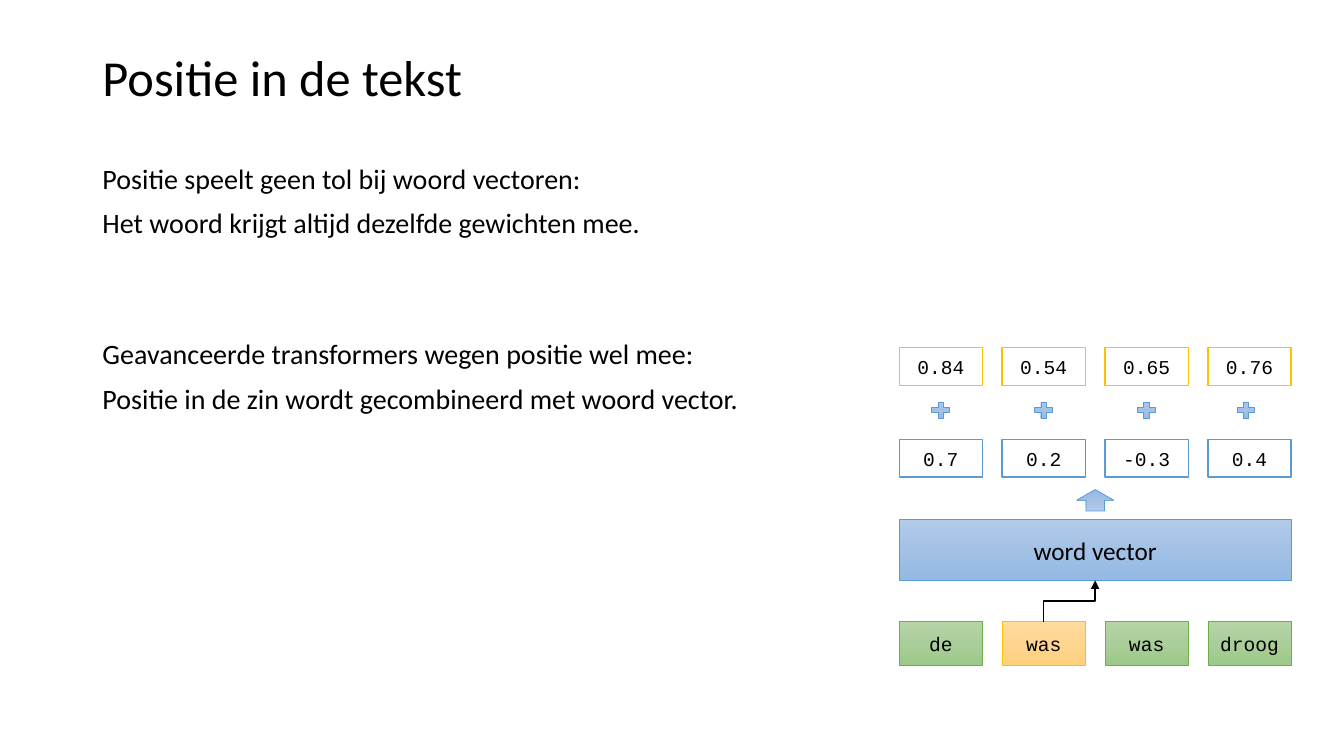
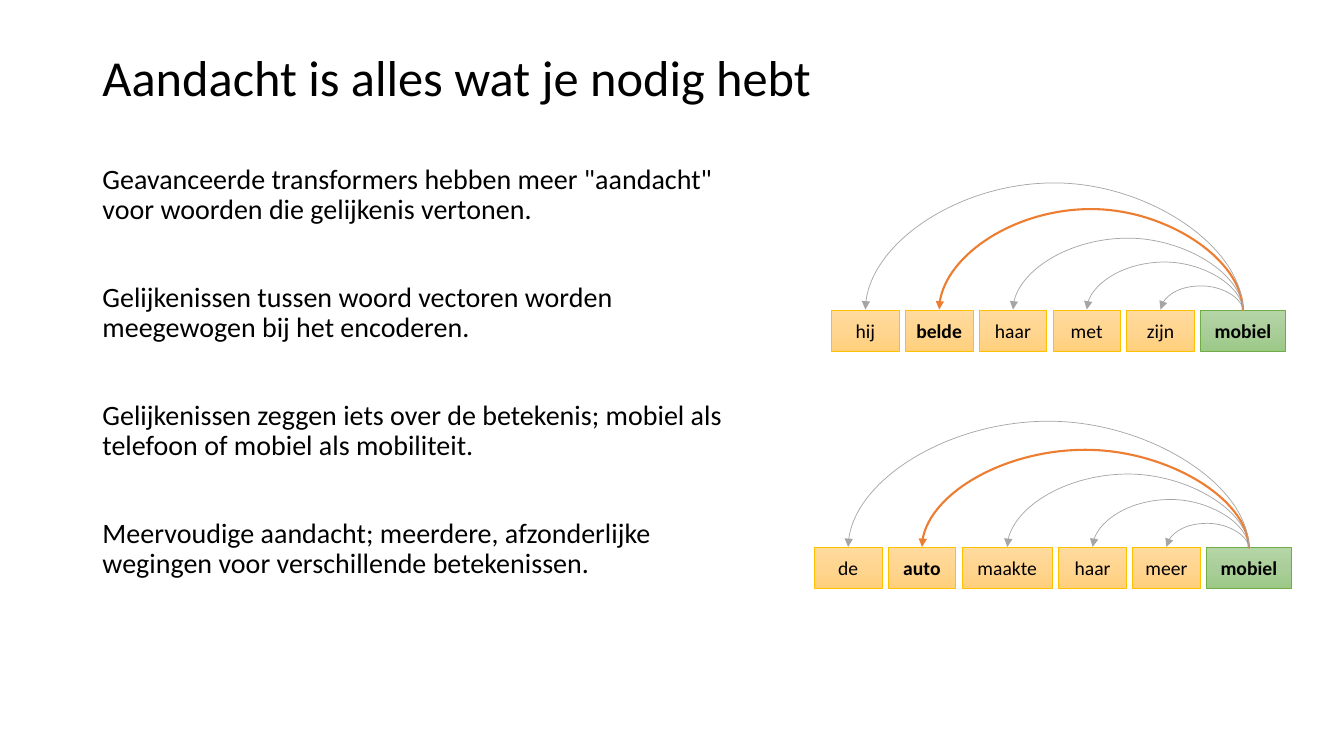
from copy import deepcopy

from lxml import etree
from pptx import Presentation
from pptx.dml.color import RGBColor
from pptx.enum import shapes, text
from pptx.oxml import ns
from pptx.util import Pt

# Shared colours
BLACK = RGBColor(0x00, 0x00, 0x00)
WHITE = RGBColor(0xFF, 0xFF, 0xFF)
GREY = RGBColor(0xA5, 0xA5, 0xA5)
ORANGE = RGBColor(0xED, 0x7D, 0x31)
BLUE = RGBColor(0x5B, 0x9B, 0xD5)
GOLD = RGBColor(0xFF, 0xC0, 0x00)
GREEN = RGBColor(0x70, 0xAD, 0x47)
BLUE_FADE = (RGBColor(0xB1, 0xCB, 0xE9), RGBColor(0xA3, 0xC1, 0xE5), RGBColor(0x93, 0xB9, 0xE4))
GOLD_FADE = (RGBColor(0xFF, 0xDB, 0x9E), RGBColor(0xFF, 0xD5, 0x90), RGBColor(0xFF, 0xD0, 0x7C))
GREEN_FADE = (RGBColor(0xB5, 0xD5, 0xA7), RGBColor(0xAA, 0xCE, 0x9A), RGBColor(0x9C, 0xC9, 0x87))

# Shared looks: fill, line colour, line width
BLUE_BLOCK = (BLUE_FADE, BLUE, 0.5)
GOLD_BLOCK = (GOLD_FADE, GOLD, 0.5)
GREEN_BLOCK = (GREEN_FADE, GREEN, 0.5)
BLUE_FRAME = (WHITE, BLUE, 1)
GOLD_FRAME = (WHITE, GOLD, 1)

# Shared text formats
TITLE_FONT = {"name": "Calibri", "size": Pt(36)}
BODY_FONT = {"name": "Calibri", "size": Pt(20)}
VECTOR_FONT = {"name": "Calibri", "size": Pt(18)}
WORD_FONT = {"name": "Calibri", "size": Pt(14)}
CODE_FONT = {"name": "Courier New", "size": Pt(14)}

# Shared grids
COLUMN_LEFT, COLUMN_WIDTH, COLUMN_STEP = 642.3, 59.5, 73.5
WORD_WIDTH, WORD_HEIGHT, WORD_GAP = 48.3, 29.2, 4.4


def set_values(target, values):
    for name, value in values.items():
        setattr(target, name, value)


def set_place(shape, left, top, width, height):
    set_values(shape, {"left": Pt(left), "top": Pt(top), "width": Pt(width), "height": Pt(height)})


def set_font(para, font):
    set_values(para.font, font)
    para.font.color.rgb = BLACK


def add_page(deck, title, body_width, paragraphs):
    """Add a page with its title and a body of (space before, wording) pairs."""
    page = deck.slides.add_slide(deck.slide_layouts[1])
    heading, body = page.placeholders
    set_place(heading, 66, 28.8, 828, 57)
    set_place(body, 66, 114.5, body_width, 371.5)

    heading.text_frame.text = title
    set_values(heading.text_frame, {"vertical_anchor": text.MSO_ANCHOR.MIDDLE,
                                    "auto_size": text.MSO_AUTO_SIZE.NONE})
    para = heading.text_frame.paragraphs[0]
    set_values(para, {"alignment": text.PP_ALIGN.LEFT, "line_spacing": 0.9})
    set_font(para, TITLE_FONT)

    frame = body.text_frame
    frame.auto_size = text.MSO_AUTO_SIZE.NONE
    frame.text = "\n".join(wording for _, wording in paragraphs)
    for para, (space, _) in zip(frame.paragraphs, paragraphs):
        set_values(para, {"line_spacing": 0.9, "space_before": Pt(space)})
        properties = para._p.get_or_add_pPr()
        properties.set("marL", "0")
        properties.set("indent", "0")
        etree.SubElement(properties, ns.qn("a:buNone"))
        set_font(para, BODY_FONT)
    return page


def fill_gradient(shape, colours):
    """Fade through three colours from top to bottom."""
    shape.fill.gradient()
    shape.fill.gradient_angle = 270
    stops = shape.element.spPr.find(".//" + ns.qn("a:gsLst"))
    stops.insert(1, deepcopy(stops[0]))
    for stop, colour, position in zip(shape.fill.gradient_stops, colours, (0, 0.5, 1)):
        stop.color.rgb = colour
        stop.position = position


def add_block(page, kind, place, look, wording="", font=None):
    fill, line, line_width = look
    shape = page.shapes.add_shape(kind, *map(Pt, place))
    shape.shadow.inherit = False
    if isinstance(fill, RGBColor):
        shape.fill.solid()
        shape.fill.fore_color.rgb = fill
    else:
        fill_gradient(shape, fill)
    shape.line.color.rgb = line
    shape.line.width = Pt(line_width)
    if wording:
        frame = shape.text_frame
        set_values(frame, {"margin_left": 0, "margin_right": 0, "word_wrap": True,
                           "vertical_anchor": text.MSO_ANCHOR.MIDDLE})
        frame.text = wording
        frame.paragraphs[0].alignment = text.PP_ALIGN.CENTER
        set_font(frame.paragraphs[0], font)
    return shape


def add_arrow(page, kind, start, end, bend, colour, line_width):
    """Leave start upwards, turn at bend (a share of the height), and reach end."""
    middle_x, middle_y = (start[0] + end[0]) / 2, (start[1] + end[1]) / 2
    half_x, half_y = (end[0] - start[0]) / 2, (end[1] - start[1]) / 2
    # The connector is laid out lying down, then turned by 270 degrees
    arrow = page.shapes.add_connector(
        kind, Pt(middle_x + half_y), Pt(middle_y - half_x),
        Pt(middle_x - half_y), Pt(middle_y + half_x))
    properties = arrow.element.spPr
    properties.find(ns.qn("a:xfrm")).set("rot", str(270 * 60000))
    adjustments = properties.find(".//" + ns.qn("a:avLst"))
    etree.SubElement(adjustments, ns.qn("a:gd"), name="adj1", fmla=f"val {round(bend * 100000)}")
    arrow.line.color.rgb = colour
    arrow.line.width = Pt(line_width)
    etree.SubElement(properties.find(ns.qn("a:ln")), ns.qn("a:tailEnd"), type="triangle")
    etree.SubElement(properties, ns.qn("a:effectLst"))


def add_code_row(page, top, height, wordings, looks):
    for column, (wording, look) in enumerate(zip(wordings, looks)):
        place = (COLUMN_LEFT + column * COLUMN_STEP, top, COLUMN_WIDTH, height)
        add_block(page, shapes.MSO_SHAPE.RECTANGLE, place, look, wording, CODE_FONT)


def add_attention(page, left, top, words, rises, strong, widths):
    """Add a row of words with arcs from the last word back to each other one."""
    centres = []
    for index, word in enumerate(words):
        last = index == len(words) - 1
        width = widths.get(word, WORD_WIDTH)
        add_block(page, shapes.MSO_SHAPE.RECTANGLE, (left, top, width, WORD_HEIGHT),
                  GREEN_BLOCK if last else GOLD_BLOCK, word,
                  {**WORD_FONT, "bold": last or index == strong})
        centres.append(left + width / 2)
        left += width + WORD_GAP
    # Arcs are one point high from start to end, so the bend equals the rise
    for index in reversed(range(len(rises))):
        colour, line_width = (ORANGE, 1.5) if index == strong else (GREY, 0.5)
        add_arrow(page, shapes.MSO_CONNECTOR.CURVE, (centres[-1], top + 0.5),
                  (centres[index], top - 0.5), rises[index], colour, line_width)


def add_position_page(deck):
    page = add_page(deck, "Positie in de tekst", 527, (
        (0, "Positie speelt geen tol bij woord vectoren:"),
        (10, "Het woord krijgt altijd dezelfde gewichten mee."),
        (72, "Geavanceerde transformers wegen positie wel mee:"),
        (10, "Positie in de zin wordt gecombineerd met woord vector."),
    ))
    # Words, word vector and the two rows of weights
    add_code_row(page, 444, 31.3, ("de", "was", "was", "droog"),
                 (GREEN_BLOCK, GOLD_BLOCK, GREEN_BLOCK, GREEN_BLOCK))
    vector_width = 3 * COLUMN_STEP + COLUMN_WIDTH
    add_block(page, shapes.MSO_SHAPE.RECTANGLE, (COLUMN_LEFT, 371.2, vector_width, 43.4),
              BLUE_BLOCK, "word vector", VECTOR_FONT)
    add_code_row(page, 314, 26.8, ("0.7", "0.2", "-0.3", "0.4"), [BLUE_FRAME] * 4)
    add_code_row(page, 248.4, 26.8, ("0.84", "0.54", "0.65", "0.76"), [GOLD_FRAME] * 4)

    # Signs and arrows between the rows
    for left in (663.3, 736.8, 810.3, 881.3):
        add_block(page, shapes.MSO_SHAPE.MATH_PLUS, (left, 285, 17.3, 16), BLUE_BLOCK)
    vector_centre = COLUMN_LEFT + vector_width / 2
    arrow = add_block(page, shapes.MSO_SHAPE.DOWN_ARROW,
                      (vector_centre - 13.3, 349.7, 26.6, 15.3), BLUE_BLOCK)
    arrow.rotation = 180
    second_word = COLUMN_LEFT + COLUMN_STEP + COLUMN_WIDTH / 2
    add_arrow(page, shapes.MSO_CONNECTOR.ELBOW, (second_word, 444), (vector_centre, 414.6),
              0.5, BLACK, 1)


def add_attention_page(deck):
    page = add_page(deck, "Aandacht is alles wat je nodig hebt", 486, (
        (0, 'Geavanceerde transformers hebben meer "aandacht" voor woorden die gelijkenis vertonen.'),
        (41, "Gelijkenissen tussen woord vectoren worden meegewogen bij het encoderen."),
        (41, "Gelijkenissen zeggen iets over de betekenis; mobiel als telefoon of mobiel als mobiliteit."),
        (41, "Meervoudige aandacht; meerdere, afzonderlijke wegingen voor verschillende betekenissen."),
    ))
    widths = {"mobiel": 60.7, "maakte": 64.8}
    add_attention(page, 594, 221.6, ("hij", "belde", "haar", "met", "zijn", "mobiel"),
                  (92.15, 73.34, 52.39, 35.19, 18), 1, widths)
    add_attention(page, 581.7, 391.2, ("de", "auto", "maakte", "haar", "meer", "mobiel"),
                  (91.54, 70.97, 53.49, 35.19, 18), 1, widths)


def main():
    deck = Presentation()
    set_values(deck, {"slide_width": Pt(960), "slide_height": Pt(540)})
    add_position_page(deck)
    add_attention_page(deck)
    deck.save("out.pptx")


if __name__ == "__main__":
    main()
